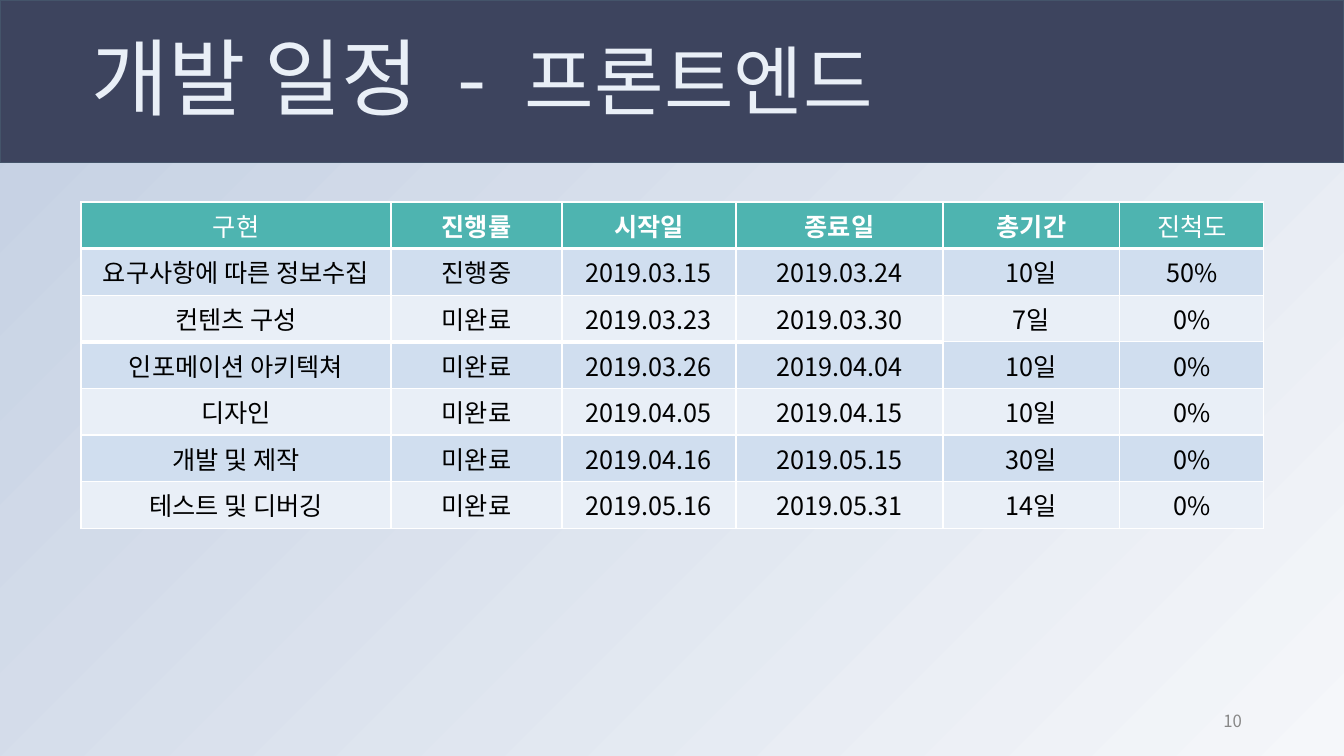
from dataclasses import dataclass

from lxml import etree
from pptx import Presentation
from pptx.dml.color import RGBColor
from pptx.enum.shapes import MSO_SHAPE
from pptx.enum.text import MSO_ANCHOR, MSO_AUTO_SIZE, PP_ALIGN
from pptx.oxml.ns import qn
from pptx.util import Pt

RECT = MSO_SHAPE.RECTANGLE
MIDDLE = MSO_ANCHOR.MIDDLE
NO_FIT = MSO_AUTO_SIZE.NONE
LEFT, CENTER, RIGHT = PP_ALIGN.LEFT, PP_ALIGN.CENTER, PP_ALIGN.RIGHT
WIDTH, HEIGHT = 1344, 756
SCALE = 12192000 / WIDTH


@dataclass(frozen=True)
class Theme:
    """Colours, font and type sizes of the slide."""
    font: str = "Noto Sans CJK KR"
    bg_stops: tuple = ("F5F7FA", "C3CFE2")
    bg_angle: int = 135
    band: str = "3D445E"
    band_line: str = "44546A"
    title: str = "E9EFF7"
    header: str = "4EB4B0"
    header_text: str = "FFFFFF"
    rows: tuple = ("D0DEEF", "E9EFF7")
    text: str = "000000"
    border: str = "FFFFFF"
    number: str = "888888"
    title_size: int = 60
    subtitle_size: int = 54
    table_size: int = 18
    number_size: int = 12
    thin: int = 1
    thick: int = 3


THEME = Theme()
TITLE_RUNS = [
    ("개발 일정", THEME.title_size, 0),
    (" ", THEME.title_size, 14),
    ("- ", THEME.title_size, 7),
    ("프론트엔드", THEME.subtitle_size, 0),
]
COLUMNS = [310, 171, 174, 207, 177, 144]
ROW_HEIGHT = 41
SCHEDULE = [
    ("구현", "진행률", "시작일", "종료일", "총기간", "진척도"),
    ("요구사항에 따른 정보수집", "진행중", "2019.03.15", "2019.03.24", "10일", "50%"),
    ("컨텐츠 구성", "미완료", "2019.03.23", "2019.03.30", "7일", "0%"),
    ("인포메이션 아키텍쳐", "미완료", "2019.03.26", "2019.04.04", "10일", "0%"),
    ("디자인", "미완료", "2019.04.05", "2019.04.15", "10일", "0%"),
    ("개발 및 제작", "미완료", "2019.04.16", "2019.05.15", "30일", "0%"),
    ("테스트 및 디버깅", "미완료", "2019.05.16", "2019.05.31", "14일", "0%"),
]


def px(*lengths):
    """Turn px lengths into a list of EMU."""
    return [round(n * SCALE) for n in lengths]


def rgb(value):
    """Return the colour for a hex string."""
    return RGBColor.from_string(value)


def style(p, size, color, align, bold=False):
    """Set alignment and font of a paragraph, East Asian face included."""
    p.alignment = align
    p.font.name = THEME.font
    p.font.bold = bold
    p.font.color.rgb = rgb(color)
    if size:
        p.font.size = Pt(size)
    def_rpr = p._p.get_or_add_pPr().find(qn("a:defRPr"))
    etree.SubElement(def_rpr, qn("a:ea"), typeface=THEME.font)


def add_background(s):
    """Fill the slide with the diagonal gradient."""
    fill = s.background.fill
    fill.gradient()
    fill.gradient_angle = THEME.bg_angle
    for stop, color in zip(fill.gradient_stops, THEME.bg_stops):
        stop.color.rgb = rgb(color)


def add_band(s, x, y, w, h):
    """Draw the dark band behind the title."""
    sp = s.shapes.add_shape(RECT, *px(x, y, w, h))
    sp.shadow.inherit = False
    sp.fill.solid()
    sp.fill.fore_color.rgb = rgb(THEME.band)
    sp.line.color.rgb = rgb(THEME.band_line)
    sp.line.width = Pt(0.75)
    s.shapes._spTree.insert(2, sp._element)


def add_title(s, x, y, w, h):
    """Place the title in its placeholder, with a smaller second part."""
    sp = s.shapes.title
    sp.left, sp.top, sp.width, sp.height = px(x, y, w, h)
    tf = sp.text_frame
    tf.auto_size = NO_FIT
    tf.word_wrap = True
    tf.vertical_anchor = MIDDLE
    p = tf.paragraphs[0]
    p.line_spacing = 0.9
    style(p, None, THEME.title, LEFT)
    for text, size, spacing in TITLE_RUNS:
        r = p.add_run()
        r.text = text
        r.font.size = Pt(size)
        if spacing:
            r.font._element.set("spc", str(spacing * 100))


def line_below(row, col):
    """Return the width of the line under a cell."""
    return THEME.thick if row == 0 or (row == 2 and col < 4) else THEME.thin


def set_borders(cell, top, bottom):
    """Give a cell its four border lines."""
    tc_pr = cell._tc.get_or_add_tcPr()
    widths = {"lnL": THEME.thin, "lnR": THEME.thin, "lnT": top, "lnB": bottom}
    for tag, width in widths.items():
        ln = etree.SubElement(tc_pr, qn(f"a:{tag}"), w=str(Pt(width)))
        solid = etree.SubElement(ln, qn("a:solidFill"))
        etree.SubElement(solid, qn("a:srgbClr"), val=THEME.border)


def add_schedule(s, x, y):
    """Build the schedule table from its top left corner."""
    w, h = sum(COLUMNS), ROW_HEIGHT * len(SCHEDULE)
    shape = s.shapes.add_table(len(SCHEDULE), len(COLUMNS), *px(x, y, w, h))
    table = shape.table
    for column, width in zip(table.columns, px(*COLUMNS)):
        column.width = width
    for i, values in enumerate(SCHEDULE):
        header = i == 0
        fill = THEME.header if header else THEME.rows[(i - 1) % 2]
        color = THEME.header_text if header else THEME.text
        for j, value in enumerate(values):
            cell = table.cell(i, j)
            cell.text = value
            bold = header and 0 < j < len(COLUMNS) - 1
            style(cell.text_frame.paragraphs[0], THEME.table_size, color, CENTER, bold)
            set_borders(cell, line_below(i - 1, j), line_below(i, j))
            cell.fill.solid()
            cell.fill.fore_color.rgb = rgb(fill)


def add_number(s, x, y, w, h):
    """Write the page number at the right of its box."""
    tf = s.shapes.add_textbox(*px(x, y, w, h)).text_frame
    tf.word_wrap = True
    tf.vertical_anchor = MIDDLE
    p = tf.paragraphs[0]
    p.text = "10"
    style(p, THEME.number_size, THEME.number, RIGHT)


def add_schedule_slide(prs):
    """Add the slide with title band, schedule and page number."""
    s = prs.slides.add_slide(prs.slide_layouts[5])
    add_background(s)
    add_band(s, 0, 0, WIDTH, 163)
    add_title(s, 81, 9, 1159, 146)
    add_schedule(s, 81, 202)
    add_number(s, 950, 701, 302, 40)


def main():
    """Build and save the presentation."""
    prs = Presentation()
    prs.slide_width, prs.slide_height = px(WIDTH, HEIGHT)
    add_schedule_slide(prs)
    prs.save("out.pptx")


if __name__ == "__main__":
    main()
